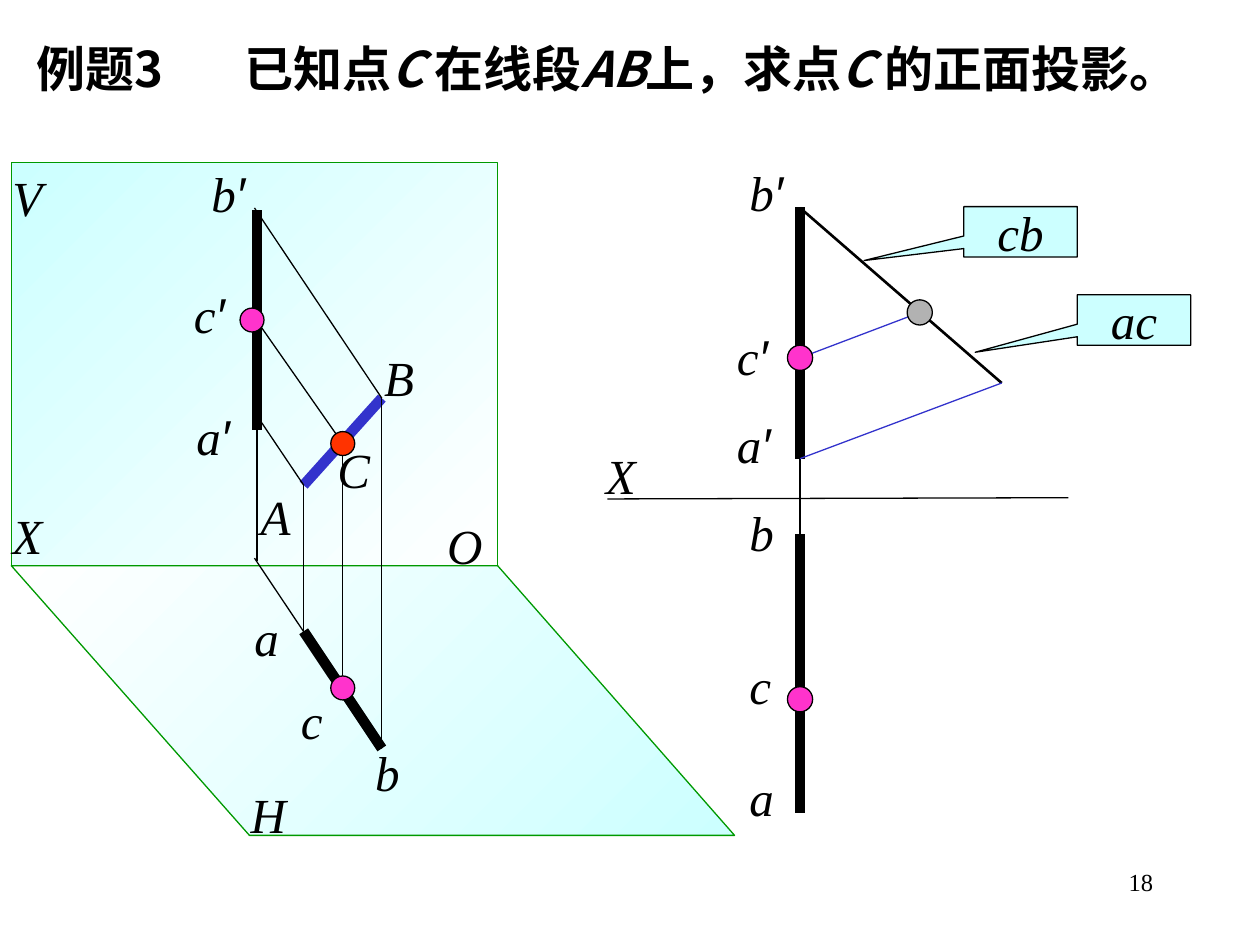
from dataclasses import dataclass
from lxml import etree
from pptx import Presentation
from pptx import util as u
from pptx.dml.color import RGBColor
from pptx.enum import shapes, text
from pptx.oxml.ns import qn

COLORS = {
    "ink": "000000", "blue": "3333CC", "pink": "FF33CC", "red": "FF3300",
    "gray": "B2B2B2", "cyan": "CCFFFF", "white": "FFFFFF", "green": "009900",
}
LATIN, PRIME, CHINESE = "Times New Roman", "Arial", "Noto Sans CJK SC"
THIN, MEDIUM, THICK = 0.75, 1.5, 6


def rgb(name):
    return RGBColor.from_string(COLORS[name])


@dataclass
class Region:
    """A part of the page whose points are measured from its top left corner."""
    page: object
    left: float
    top: float

    def place(self, x, y):
        return u.Inches(self.left + x), u.Inches(self.top + y)


def add_span(para, words, size, font, bold=False, italic=False):
    span = para.add_run()
    span.text = words
    span.font.size = u.Pt(size)
    span.font.name = font
    span.font.bold, span.font.italic = bold, italic
    span.font.color.rgb = rgb("ink")
    properties = span.font._element
    for tag in ("a:ea", "a:cs"):
        etree.SubElement(properties, qn(tag)).set("typeface", font)


def add_box(region, x, y, width, height):
    box = region.page.shapes.add_textbox(
        *region.place(x, y), u.Inches(width), u.Inches(height))
    box.text_frame.word_wrap = True
    return box.text_frame.paragraphs[0]


def add_label(region, words, x, y):
    para = add_box(region, x, y, 0.8, 0.57)
    add_span(para, words[0], 28, LATIN, italic=True)
    if words.endswith("′"):
        add_span(para, "′", 28, PRIME, italic=True)


def add_line(region, start, end, width=THIN, color="ink"):
    line = region.page.shapes.add_connector(
        shapes.MSO_CONNECTOR.STRAIGHT, *region.place(*start), *region.place(*end))
    line.line.width = u.Pt(width)
    line.line.color.rgb = rgb(color)
    etree.SubElement(line._element.spPr, qn("a:effectLst"))


def outline(shape, color="ink"):
    shape.shadow.inherit = False
    shape.line.color.rgb = rgb(color)
    shape.line.width = u.Pt(THIN)


def add_dot(region, center, color, size=0.2):
    x, y = center
    dot = region.page.shapes.add_shape(
        shapes.MSO_SHAPE.OVAL, *region.place(x - size / 2, y - size / 2),
        u.Inches(size), u.Inches(size))
    dot.fill.solid()
    dot.fill.fore_color.rgb = rgb(color)
    outline(dot)


def shade_plane(plane, first, last):
    plane.fill.gradient()
    plane.fill.gradient_angle = 135
    for stop, color in zip(plane.fill.gradient_stops, (first, last)):
        stop.color.rgb = rgb(color)
    outline(plane, "green")


def add_callout(region, words, x, y, pointer):
    callout = region.page.shapes.add_shape(
        shapes.MSO_SHAPE.RECTANGULAR_CALLOUT, *region.place(x, y),
        u.Inches(0.9), u.Inches(0.4))
    callout.adjustments[0], callout.adjustments[1] = pointer
    callout.fill.solid()
    callout.fill.fore_color.rgb = rgb("cyan")
    outline(callout)
    frame = callout.text_frame
    frame.word_wrap = False
    frame.vertical_anchor = text.MSO_ANCHOR.MIDDLE
    para = frame.paragraphs[0]
    para.alignment = text.PP_ALIGN.CENTER
    add_span(para, words, 28, LATIN, italic=True)


def draw_title(region):
    para = add_box(region, 0, 0, 9.45, 0.57)
    tabs = etree.SubElement(para._p.get_or_add_pPr(), qn("a:tabLst"))
    etree.SubElement(tabs, qn("a:tab"), pos=str(u.Inches(1.65)), algn="l")
    parts = ("例题3\t已知点", "C ", "在线段", "AB", "上，求点", "C ", "的正面投影。")
    for index, words in enumerate(parts):
        add_span(para, words, 28, CHINESE, bold=True, italic=index % 2 == 1)


def draw_space_view(region):
    # Vertical plane V and horizontal plane H
    vertical = region.page.shapes.add_shape(
        shapes.MSO_SHAPE.RECTANGLE, *region.place(0.09, 0.04),
        u.Inches(3.86), u.Inches(3.2))
    shade_plane(vertical, "white", "cyan")
    corners = [region.place(*corner) for corner in
               ((0.09, 3.24), (1.98, 5.38), (5.83, 5.38), (3.95, 3.24))]
    builder = region.page.shapes.build_freeform(*corners[0])
    builder.add_line_segments(corners[1:], close=True)
    shade_plane(builder.convert_to_shape(), "cyan", "white")

    # Segment AB with its two projections
    end_a, end_b, mid_c = (2.41, 2.6), (3.03, 1.91), (2.72, 2.27)
    top_a, top_b, top_c = (2.41, 3.76), (3.03, 4.69), (2.72, 4.21)
    front_a, front_b, front_c = (2.04, 2.16), (2.04, 0.42), (2.0, 1.29)
    add_line(region, top_b, top_a, THICK)
    add_line(region, front_b, front_a, THICK)
    add_line(region, end_a, end_b, THICK, "blue")

    # Projection lines
    for start, end in (
            (mid_c, (2.02, 1.27)), (front_b, (2.04, 3.2)), ((2.02, 3.18), top_b),
            (top_b, end_b), (top_a, end_a), ((2.02, 2.02), end_a),
            ((2.02, 0.4), end_b), (mid_c, top_c)):
        add_line(region, start, end)
    for center, color in ((front_c, "pink"), (top_c, "pink"), (mid_c, "red")):
        add_dot(region, center, color, 0.19)

    for words, x, y in (
            ("V", 0, 0.03), ("H", 1.89, 4.93), ("X", 0, 2.71), ("O", 3.45, 2.79),
            ("A", 1.97, 2.56), ("B", 2.95, 1.46), ("C", 2.58, 2.19),
            ("a", 1.92, 3.52), ("b", 2.88, 4.59), ("c", 2.29, 4.18),
            ("a′", 1.46, 1.93), ("b′", 1.58, 0), ("c′", 1.44, 0.96)):
        add_label(region, words, x, y)


def draw_flat_view(region):
    # Axis and the two projections of AB
    column = 1.65
    front_a, front_c = (column, 2.4), (column, 1.6)
    add_line(region, (3.78, 2.71), (0.12, 2.72))
    add_line(region, front_a, (column, 0.4), THICK)
    add_line(region, (column, 3), (column, 5.21), THICK)
    add_line(region, (column, 1.4), (column, 4.11))

    # Proportional division of the front projection
    aid_end, aid_mid = (3.25, 1.8), (2.6, 1.24)
    add_line(region, front_c, aid_mid, color="blue")
    add_line(region, (column, 0.41), aid_end, MEDIUM)
    add_line(region, front_a, aid_end, color="blue")
    for center, color in (
            ((column, 4.31), "pink"), (front_c, "pink"), (aid_mid, "gray")):
        add_dot(region, center, color)
    add_callout(region, "ac", 3.85, 1.1, (-1.4, 0.64))
    add_callout(region, "cb", 2.95, 0.4, (-1.38, 0.57))

    for words, x, y in (
            ("X", 0.01, 2.25), ("a", 1.15, 4.8), ("b", 1.15, 2.7), ("c", 1.15, 3.91),
            ("a′", 1.05, 2), ("b′", 1.15, 0), ("c′", 1.05, 1.3)):
        add_label(region, words, x, y)


def draw_page_number(region):
    para = add_box(region, 0, 0, 2.08, 0.5)
    para.alignment = text.PP_ALIGN.RIGHT
    add_span(para, "18", 14, LATIN)


def main():
    deck = Presentation()
    deck.slide_width, deck.slide_height = u.Inches(10), u.Inches(7.5)
    page = deck.slides.add_slide(deck.slide_layouts[6])
    draw_title(Region(page, 0.19, 0.26))
    draw_flat_view(Region(page, 4.7, 1.24))
    draw_space_view(Region(page, 0, 1.25))
    draw_page_number(Region(page, 7.17, 6.83))
    deck.save("out.pptx")


if __name__ == "__main__":
    main()
